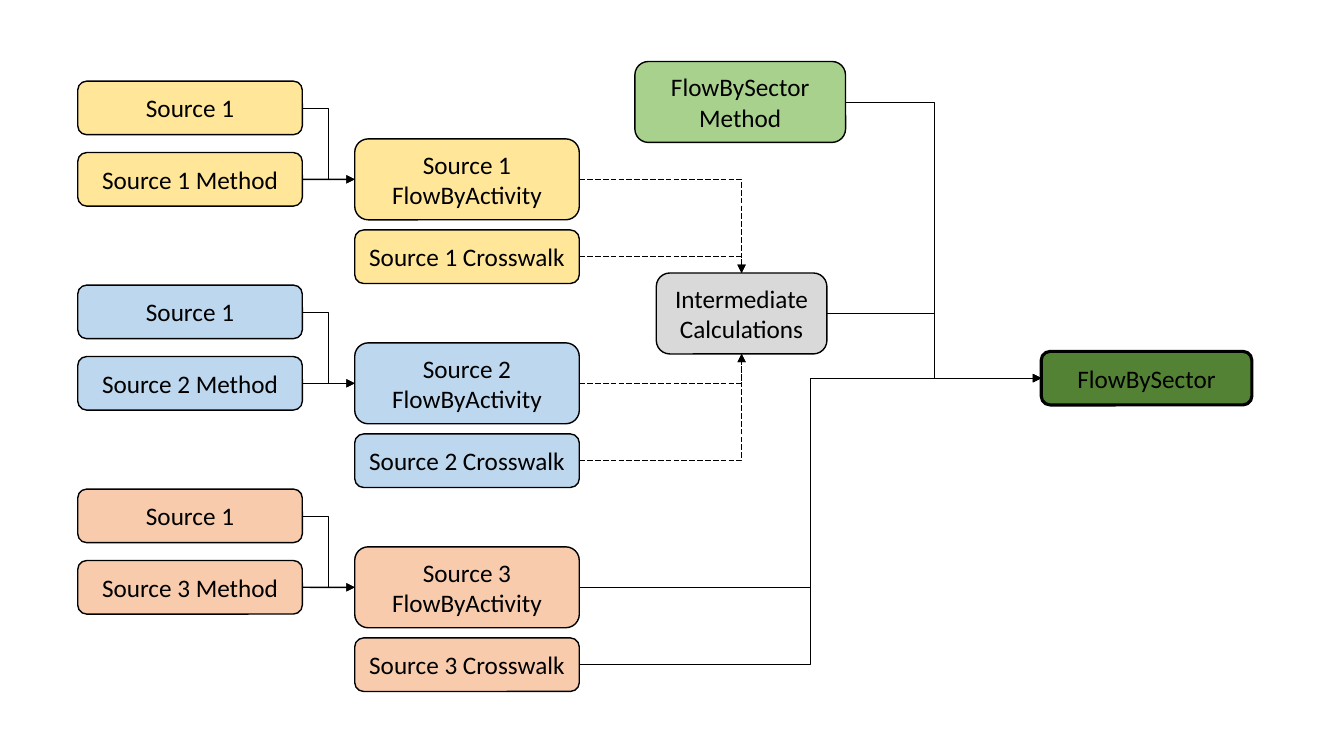
from lxml.etree import SubElement
from pptx import Presentation
from pptx.dml.color import RGBColor
from pptx.enum.dml import MSO_LINE
from pptx.enum.shapes import MSO_CONNECTOR, MSO_SHAPE
from pptx.enum.text import MSO_ANCHOR, PP_ALIGN
from pptx.oxml.ns import qn
from pptx.util import Cm, Pt

BLACK = RGBColor(0x00, 0x00, 0x00)
YELLOW = RGBColor(0xFF, 0xE6, 0x99)
BLUE = RGBColor(0xBD, 0xD7, 0xEE)
ORANGE = RGBColor(0xF8, 0xCB, 0xAD)
LIGHT_GREEN = RGBColor(0xA9, 0xD1, 0x8E)
DARK_GREEN = RGBColor(0x54, 0x82, 0x35)
GRAY = RGBColor(0xD9, 0xD9, 0xD9)

# Sizes in cm; every box is placed by its left edge and vertical centre
LOW, TALL = 1.35, 2.04
SOURCE_W, SECTOR_W, CALC_W = 5.66, 5.31, 4.3
COL_1, COL_2 = 1.96, 8.94
ROW_PITCH = 5.14
TOP, LEFT, BOTTOM, RIGHT = range(4)  # connection sites

# Each source: number, colour
SOURCES = [(1, YELLOW), (2, BLUE), (3, ORANGE)]

# Boxes of each source: key, text, left, centre of first row, height
SOURCE_BOXES = [
    ("source", "Source 1", COL_1, 2.72, LOW),
    ("method", "Source {} Method", COL_1, 4.52, LOW),
    ("activity", "Source {} FlowByActivity", COL_2, 4.52, TALL),
    ("crosswalk", "Source {} Crosswalk", COL_2, 6.47, LOW),
]

# Sector boxes: key, text, left, centre, width, height, colour, line width
SECTOR_BOXES = [
    ("sector method", "FlowBySector Method", 16, 2.57, SECTOR_W, TALL, LIGHT_GREEN, 1),
    ("calculations", "Intermediate Calculations", 16.54, 7.9, CALC_W, TALL, GRAY, 1),
    ("sector", "FlowBySector", 26.24, 9.53, SECTOR_W, LOW, DARK_GREEN, 2.25),
]

prs = Presentation()
prs.slide_width, prs.slide_height = Cm(33.87), Cm(19.05)
s = prs.slides.add_slide(prs.slide_layouts[6])


def add_box(text, left, centre, width, height, color, line_pt=1):
    sp = s.shapes.add_shape(MSO_SHAPE.ROUNDED_RECTANGLE, Cm(left),
                            Cm(centre - height / 2), Cm(width), Cm(height))
    sp.shadow.inherit = False
    sp.fill.solid()
    sp.fill.fore_color.rgb = color
    sp.line.color.rgb = BLACK
    sp.line.width = Pt(line_pt)
    tf = sp.text_frame
    tf.word_wrap = True
    tf.vertical_anchor = MSO_ANCHOR.MIDDLE
    p = tf.paragraphs[0]
    p.alignment = PP_ALIGN.CENTER
    r = p.add_run()
    r.text = text
    r.font.name = "Calibri"
    r.font.size = Pt(18)
    r.font.color.rgb = BLACK
    return sp


def site_point(sp, site):
    if site in (TOP, BOTTOM):
        return sp.left + sp.width // 2, sp.top + (sp.height if site == BOTTOM else 0)
    return sp.left + (sp.width if site == RIGHT else 0), sp.top + sp.height // 2


def add_arrow(start, end, site=LEFT, straight=False, bend=0.5):
    """Arrow from the right side of start; dashed with one bend into top or bottom."""
    kind = MSO_CONNECTOR.STRAIGHT if straight else MSO_CONNECTOR.ELBOW
    c = s.shapes.add_connector(kind, *site_point(start, RIGHT), *site_point(end, site))
    c.begin_connect(start, RIGHT)
    c.end_connect(end, site)
    c.line.color.rgb = BLACK
    c.line.width = Pt(1 if straight else 0.5)
    spPr = c._element.spPr
    geom = spPr.find(qn("a:prstGeom"))
    if site != LEFT:
        geom.set("prst", "bentConnector2")
        c.line.dash_style = MSO_LINE.LONG_DASH
    elif bend != 0.5:
        SubElement(geom.find(qn("a:avLst")), qn("a:gd"),
                   name="adj1", fmla=f"val {round(bend * 100000)}")
    SubElement(spPr.find(qn("a:ln")), qn("a:tailEnd"), type="triangle")
    SubElement(spPr, qn("a:effectLst"))


# Boxes
boxes = {}
for row, (number, color) in enumerate(SOURCES):
    for key, text, left, centre, height in SOURCE_BOXES:
        boxes[key, number] = add_box(text.format(number), left,
                                     centre + row * ROW_PITCH, SOURCE_W, height, color)
for key, *box in SECTOR_BOXES:
    boxes[key] = add_box(*box)
sector_method, calculations, sector = (boxes[b[0]] for b in SECTOR_BOXES)

# Arrows within each source and onwards
targets = {1: (calculations, TOP), 2: (calculations, BOTTOM), 3: (sector, LEFT)}
for number, target in targets.items():
    activity = boxes["activity", number]
    add_arrow(boxes["source", number], activity)
    add_arrow(boxes["method", number], activity, straight=True)
    add_arrow(activity, *target)
    add_arrow(boxes["crosswalk", number], *target)

# Arrows into the sector box, sharing one vertical trunk
calc_right, method_right = (site_point(b, RIGHT)[0] for b in (calculations, sector_method))
trunk = (calc_right + sector.left) / 2
add_arrow(calculations, sector)
add_arrow(sector_method, sector,
          bend=(trunk - method_right) / (sector.left - method_right))

prs.save("out.pptx")
